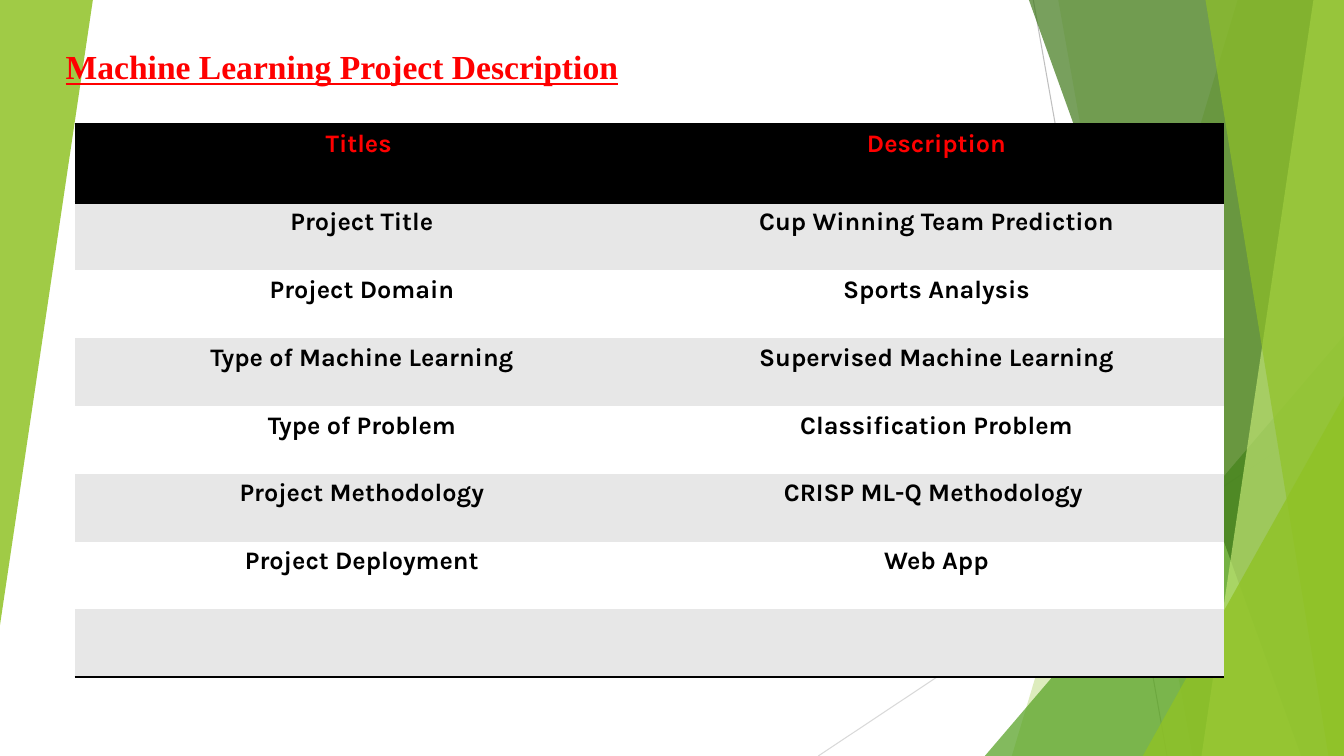
import pptx
import pptx.dml.color
import pptx.enum.shapes
import pptx.enum.text
import pptx.oxml
import pptx.oxml.ns
import pptx.util

Cm, Pt = pptx.util.Cm, pptx.util.Pt
W, H = 33.87, 19.05
COLORS = {
    "green": "90C226", "mid": "54A021", "dark": "3F7819", "pale": "C0E474",
    "line1": "BFBFBF", "line2": "D9D9D9", "red": "FF0000", "black": "000000",
    "band": "E7E7E7", "white": "FFFFFF",
}
NO_STYLE = "{2D5ABB26-0587-4C30-8999-92F81FD0307C}"
ROWS = [
    ("Titles ", "Description"),
    ("Project Title", "Cup Winning Team Prediction"),
    ("Project Domain", "Sports Analysis"),
    ("Type of Machine Learning", "Supervised Machine Learning"),
    ("Type of Problem", "Classification Problem"),
    ("Project Methodology", "CRISP ML-Q Methodology "),
    ("Project Deployment", "Web App"),
    ("", ""),
]


def rgb(name):
    return pptx.dml.color.RGBColor.from_string(COLORS[name])


def add_xml(parent, tag, **attrs):
    child = parent.makeelement(pptx.oxml.ns.qn(tag), attrs)
    parent.append(child)
    return child


def paint(sp, color, opacity):
    """Fill a shape with a translucent colour, without outline or shadow."""
    sp.shadow.inherit = False
    sp.line.fill.background()
    sp.fill.solid()
    sp.fill.fore_color.rgb = rgb(color)
    clr = sp.fill._xPr.find(".//" + pptx.oxml.ns.qn("a:srgbClr"))
    add_xml(clr, "a:alpha", val=str(opacity * 1000))


def add_line(s, x1, y1, x2, y2, color):
    line = s.shapes.add_connector(
        pptx.enum.shapes.MSO_CONNECTOR.STRAIGHT, Cm(x1), Cm(y1), Cm(x2), Cm(y2))
    line.line.color.rgb = rgb(color)
    line.line.width = Pt(0.75)
    add_xml(line._element.spPr, "a:effectLst")


def add_panel(s, top_x, bottom_x, color, opacity):
    """Full-height panel from a slanted left edge to the right slide edge."""
    corners = [(W, 0), (W, H), (bottom_x, H)]
    fb = s.shapes.build_freeform(Cm(top_x), 0)
    fb.add_line_segments([(Cm(x), Cm(y)) for x, y in corners], close=True)
    paint(fb.convert_to_shape(), color, opacity)


def add_triangle(s, x, y, w, h, color, opacity, rotation=0):
    """Right triangle with its upright side on the right."""
    sp = s.shapes.add_shape(
        pptx.enum.shapes.MSO_SHAPE.ISOSCELES_TRIANGLE, Cm(x), Cm(y), Cm(w), Cm(h))
    sp.adjustments[0] = 1
    sp.rotation = rotation
    paint(sp, color, opacity)


def add_backdrop(s):
    add_line(s, 26.04, 0, 29.41, H, "line1")
    add_line(s, W, 10.24, 20.62, H, "line2")
    add_panel(s, 31.19, 25.5, "green", 30)
    add_panel(s, 26.67, 30.05, "green", 20)
    add_triangle(s, 24.82, 8.46, W - 24.82, H - 8.46, "mid", 72)
    add_panel(s, 25.93, 32.79, "dark", 70)
    add_panel(s, 33.1, 30.28, "pale", 70)
    add_panel(s, 30.38, 33.48, "green", 65)
    add_triangle(s, 28.8, 9.98, W - 28.8, H - 9.98, "green", 80)
    add_triangle(s, 0, 0, 2.34, 15.75, "green", 85, rotation=180)


def format_run(r, font, size, color):
    r.font.name = font
    r.font.size = Pt(size)
    r.font.bold = True
    r.font.color.rgb = rgb(color)


def add_title(s, text, x, y, w, h):
    title = s.shapes.title
    title.left, title.top, title.width, title.height = Cm(x), Cm(y), Cm(w), Cm(h)
    tf = title.text_frame
    tf.text = text
    tf.word_wrap = True
    tf.auto_size = pptx.enum.text.MSO_AUTO_SIZE.NONE
    tf.vertical_anchor = pptx.enum.text.MSO_ANCHOR.BOTTOM
    p = tf.paragraphs[0]
    p.alignment = pptx.enum.text.PP_ALIGN.LEFT
    format_run(p.runs[0], "Times New Roman", 24, "red")
    p.runs[0].font.underline = True
    # The placeholder comes with the layout, so bring it in front of the backdrop.
    title._element.getparent().append(title._element)


def add_border(cell, side):
    ln = add_xml(cell._tc.get_or_add_tcPr(), "a:ln" + side, w=str(Pt(2)))
    add_xml(add_xml(ln, "a:solidFill"), "a:srgbClr", val=COLORS["black"])


def format_cell(cell, text, row, last):
    header = row == 0
    for side in ("TB" if header else "B" if row == last else ""):
        add_border(cell, side)
    cell.fill.solid()
    cell.fill.fore_color.rgb = rgb("black" if header else "band" if row % 2 else "white")
    cell.text = text
    p = cell.text_frame.paragraphs[0]
    p.alignment = pptx.enum.text.PP_ALIGN.CENTER
    for r in p.runs:
        format_run(r, "Karla", 18, "red" if header else "black")


def add_description_table(s, x, y, w, h, header_h=1.98):
    frame = s.shapes.add_table(len(ROWS), 2, Cm(x), Cm(y), Cm(w), Cm(h))
    table = frame.table
    table.horz_banding = False
    table._tbl.tblPr.find(pptx.oxml.ns.qn("a:tableStyleId")).text = NO_STYLE
    last = len(ROWS) - 1
    for i, texts in enumerate(ROWS):
        table.rows[i].height = Cm((h - header_h) / last if i else header_h)
        for j, text in enumerate(texts):
            format_cell(table.cell(i, j), text, i, last)


def main():
    prs = pptx.Presentation()
    prs.slide_width, prs.slide_height = Cm(W), Cm(H)
    s = prs.slides.add_slide(prs.slide_layouts.get_by_name("Title Only"))
    add_backdrop(s)
    add_title(s, "Machine Learning Project Description", 1.4, 0.91, 31.17, 1.4)
    add_description_table(s, 1.88, 3.12, 28.96, 13.95)
    prs.save("out.pptx")


if __name__ == "__main__":
    main()
